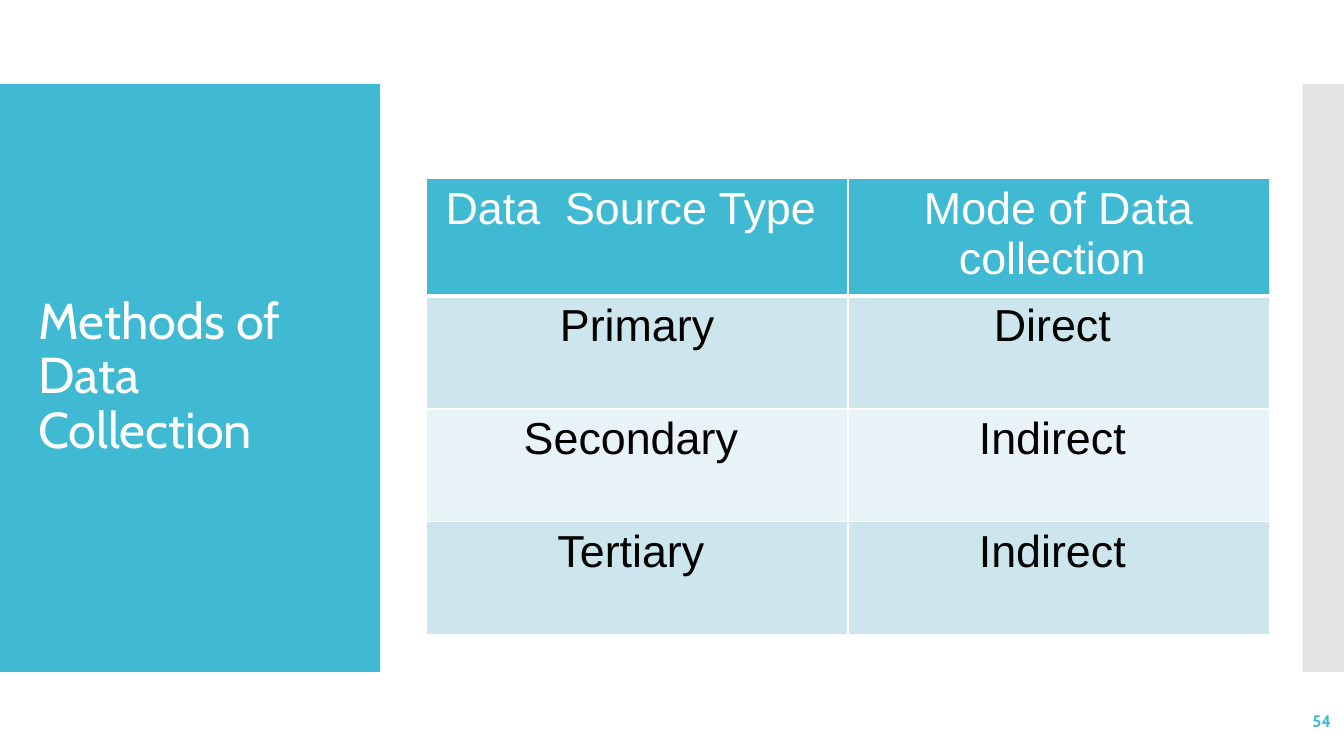
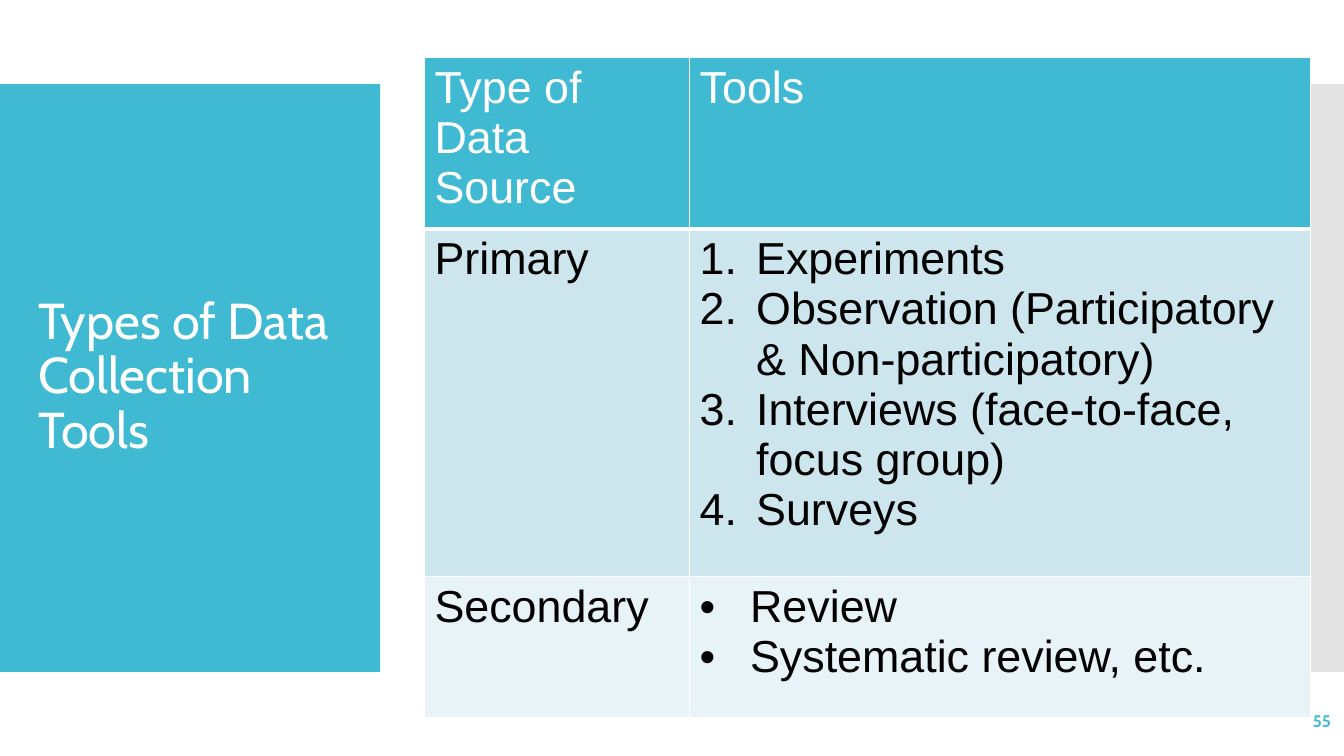
from dataclasses import dataclass
from enum import Enum

from lxml.etree import SubElement
from pptx import Presentation
from pptx.dml.color import RGBColor
from pptx.enum.shapes import MSO_SHAPE
from pptx.enum.text import MSO_ANCHOR, PP_ALIGN
from pptx.oxml import parse_xml
from pptx.oxml.ns import nsdecls, qn
from pptx.slide import Slide
from pptx.util import Inches, Pt

COLORS = {
    "accent": "40BAD2",
    "side": "C8C8C8",
    "odd_row": "CDE6EE",
    "even_row": "E8F3F7",
    "light": "FFFFFF",
    "dark": "000000",
}
TITLE_FONT = "Cabin"
TABLE_FONT = "Arial"
SLIDE_WIDTH, SLIDE_HEIGHT = 13.33, 7.5
BAND_TOP, BAND_HEIGHT = SLIDE_HEIGHT / 9, SLIDE_HEIGHT * 7 / 9
SIDE_LEFT = 12.92
SIDE_OPACITY = 49
GRID_LINE, HEADER_LINE = 1, 3


class Marker(Enum):
    NUMBER = 0.56
    BULLET = 0.5


@dataclass(frozen=True)
class Box:
    left: float
    top: float
    width: float
    height: float

    def lengths(self) -> tuple:
        return tuple(Inches(v) for v in (self.left, self.top, self.width, self.height))


@dataclass(frozen=True)
class TextStyle:
    font: str
    size: int
    color: str
    bold: bool = False
    align: PP_ALIGN = PP_ALIGN.LEFT
    line_spacing: float = 1.0


@dataclass(frozen=True)
class Entry:
    lines: tuple[str, ...]
    marker: Marker | None = None


@dataclass(frozen=True)
class DataTable:
    left: float
    top: float
    columns: tuple[float, ...]
    row_heights: tuple[float, ...]
    entries: tuple[tuple[Entry, ...], ...]
    align: PP_ALIGN


@dataclass(frozen=True)
class Page:
    title: str
    number: str
    table: DataTable


TITLE_BAND = Box(0, BAND_TOP, 3.77, BAND_HEIGHT)
SIDE_BAND = Box(SIDE_LEFT, BAND_TOP, SLIDE_WIDTH - SIDE_LEFT, BAND_HEIGHT)
TITLE_BOX = Box(0.28, 1.23, 3.22, 5.03)
NUMBER_BOX = Box(11.63, 6.95, 1.67, 0.4)
TITLE_STYLE = TextStyle(TITLE_FONT, 36, "light", line_spacing=0.9)
NUMBER_STYLE = TextStyle(TITLE_FONT, 12, "accent", True, PP_ALIGN.RIGHT)


def plain(*texts: str) -> tuple[Entry, ...]:
    return tuple(Entry((text,)) for text in texts)


PAGES = (
    Page("Methods of Data Collection", "54", DataTable(
        4.23, 1.77, (4.18, 4.18), (1.11, 1.12, 1.12, 1.12),
        (
            plain("Data  Source Type ", "Mode of Data collection "),
            plain("Primary", "Direct "),
            plain("Secondary ", "Indirect "),
            plain("Tertiary ", "Indirect "),
        ),
        PP_ALIGN.CENTER,
    )),
    Page("Types of Data Collection Tools", "55", DataTable(
        4.21, 0.57, (2.63, 6.16), (1.4, 3.45, 1.4),
        (
            plain("Type of Data Source", "Tools"),
            (
                Entry(("Primary",)),
                Entry((
                    "Experiments",
                    "Observation (Participatory & Non-participatory)",
                    "Interviews (face-to-face, focus group)",
                    "Surveys",
                ), Marker.NUMBER),
            ),
            (
                Entry(("Secondary",)),
                Entry(("Review", "Systematic review, etc."), Marker.BULLET),
            ),
        ),
        PP_ALIGN.LEFT,
    )),
)


def rgb(name: str) -> RGBColor:
    return RGBColor.from_string(COLORS[name])


def write_line(paragraph, text: str, style: TextStyle) -> None:
    paragraph.alignment = style.align
    paragraph.line_spacing = style.line_spacing
    run = paragraph.add_run()
    run.text = text
    run.font.name = style.font
    run.font.size = Pt(style.size)
    run.font.bold = style.bold
    run.font.color.rgb = rgb(style.color)


def add_band(slide: Slide, box: Box, color: str, opacity: int = 100) -> None:
    band = slide.shapes.add_shape(MSO_SHAPE.RECTANGLE, *box.lengths())
    band.shadow.inherit = False
    band.fill.solid()
    band.fill.fore_color.rgb = rgb(color)
    band.line.fill.background()
    if opacity < 100:
        tint = band.fill._xPr.find(qn("a:solidFill"))[0]
        SubElement(tint, qn("a:alpha")).set("val", str(opacity * 1000))


def add_label(slide: Slide, box: Box, text: str, style: TextStyle) -> None:
    frame = slide.shapes.add_textbox(*box.lengths()).text_frame
    frame.word_wrap = True
    frame.vertical_anchor = MSO_ANCHOR.MIDDLE
    write_line(frame.paragraphs[0], text, style)


def add_marker(paragraph, marker: Marker) -> None:
    properties = paragraph._p.get_or_add_pPr()
    indent = Inches(marker.value)
    properties.set("marL", str(indent))
    properties.set("indent", str(-indent))
    tint = SubElement(properties, qn("a:buClr"))
    SubElement(tint, qn("a:srgbClr")).set("val", COLORS["dark"])
    SubElement(properties, qn("a:buFont")).set("typeface", TABLE_FONT)
    if marker is Marker.NUMBER:
        SubElement(properties, qn("a:buAutoNum")).set("type", "arabicPeriod")
    else:
        SubElement(properties, qn("a:buChar")).set("char", "•")


def add_borders(cell, row: int) -> None:
    top = HEADER_LINE if row == 1 else GRID_LINE
    bottom = HEADER_LINE if row == 0 else GRID_LINE
    sides = {"lnL": GRID_LINE, "lnR": GRID_LINE, "lnT": top, "lnB": bottom}
    properties = cell._tc.get_or_add_tcPr()
    for position, (side, width) in enumerate(sides.items()):
        properties.insert(position, parse_xml(
            f'<a:{side} {nsdecls("a")} w="{Pt(width)}"><a:solidFill>'
            f'<a:srgbClr val="{COLORS["light"]}"/></a:solidFill></a:{side}>'
        ))


def fill_cell(cell, entry: Entry, row: int, align: PP_ALIGN) -> None:
    header = row == 0
    style = TextStyle(TABLE_FONT, 32, "light" if header else "dark", align=align)
    cell.fill.solid()
    cell.fill.fore_color.rgb = rgb(
        "accent" if header else "odd_row" if row % 2 else "even_row"
    )
    add_borders(cell, row)
    frame = cell.text_frame
    for index, line in enumerate(entry.lines):
        paragraph = frame.add_paragraph() if index else frame.paragraphs[0]
        write_line(paragraph, line, style)
        if entry.marker:
            add_marker(paragraph, entry.marker)


def add_data_table(slide: Slide, data: DataTable) -> None:
    box = Box(data.left, data.top, sum(data.columns), sum(data.row_heights))
    table = slide.shapes.add_table(
        len(data.row_heights), len(data.columns), *box.lengths()
    ).table
    table.first_row = False
    table.horz_banding = False
    for column, width in zip(table.columns, data.columns):
        column.width = Inches(width)
    for row, height in enumerate(data.row_heights):
        table.rows[row].height = Inches(height)
        for column, entry in enumerate(data.entries[row]):
            fill_cell(table.cell(row, column), entry, row, data.align)


def add_page(deck, page: Page) -> None:
    slide = deck.slides.add_slide(deck.slide_layouts[6])
    add_band(slide, TITLE_BAND, "accent")
    add_band(slide, SIDE_BAND, "side", SIDE_OPACITY)
    add_label(slide, TITLE_BOX, page.title, TITLE_STYLE)
    add_data_table(slide, page.table)
    add_label(slide, NUMBER_BOX, page.number, NUMBER_STYLE)


def main() -> None:
    deck = Presentation()
    deck.slide_width = Inches(SLIDE_WIDTH)
    deck.slide_height = Inches(SLIDE_HEIGHT)
    for page in PAGES:
        add_page(deck, page)
    deck.save("out.pptx")


if __name__ == "__main__":
    main()
